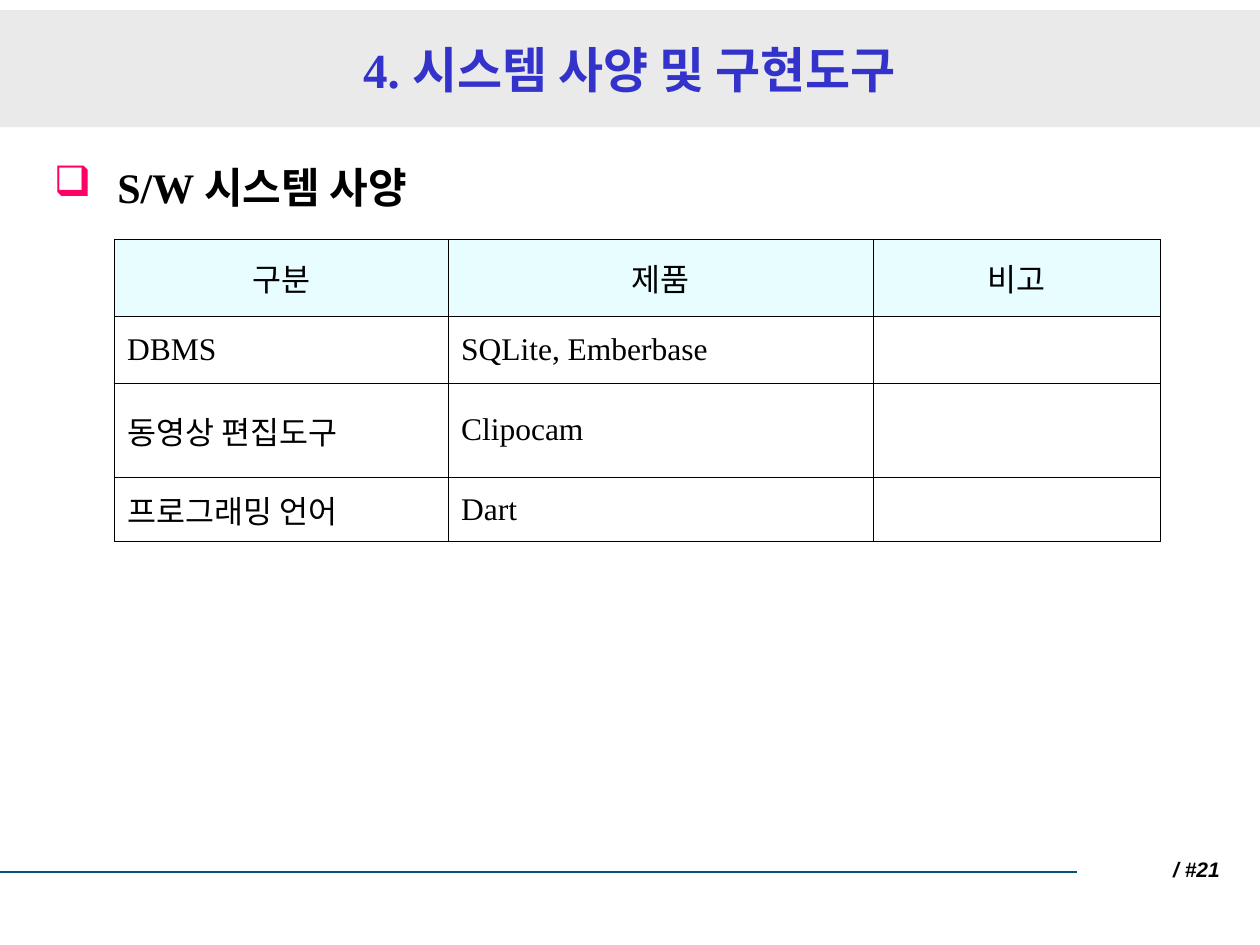
from lxml import etree
from pptx import Presentation
from pptx.dml.color import RGBColor
from pptx.enum.shapes import MSO_CONNECTOR, MSO_SHAPE
from pptx.enum.text import MSO_ANCHOR, PP_ALIGN
from pptx.oxml.ns import qn
from pptx.util import Inches, Pt

SERIF = "Times New Roman"
COLS = [2.65, 3.37, 2.28]
ROWS = [0.61, 0.53, 0.75, 0.51]
CELLS = [
    ["구분", "제품", "비고"],
    ["DBMS", "SQLite, Emberbase", ""],
    ["동영상 편집도구", "Clipocam", ""],
    ["프로그래밍 언어", "Dart", ""],
]


def rgb(value):
    return RGBColor.from_string(value)


def style(p, size, color="000000", name=SERIF, bold=False, italic=False):
    """Format a paragraph's runs, or its font when it holds none."""
    for item in p.runs or [p]:
        font = item.font
        font.size, font.name = Pt(size), name
        font.bold, font.italic = bold, italic
        font.color.rgb = rgb(color)


def add_title(slide, left, top, width, height):
    # Grey band behind the title
    band = slide.shapes.add_shape(MSO_SHAPE.RECTANGLE, Inches(left), Inches(top),
                                  Inches(width), Inches(height))
    band.shadow.inherit = False
    band.fill.solid()
    band.fill.fore_color.rgb = rgb("EAEAEA")
    band.line.fill.background()
    title = slide.shapes.title
    band._element.addnext(title._element)

    # Title text
    title.left, title.top = Inches(left + 0.33), Inches(top + 0.09)
    title.width, title.height = Inches(width - 0.67), Inches(0.75)
    tf = title.text_frame
    tf.text = "4. 시스템 사양 및 구현도구"
    tf.vertical_anchor = MSO_ANCHOR.MIDDLE
    p = tf.paragraphs[0]
    p.alignment = PP_ALIGN.CENTER
    style(p, 28, "3333CC", bold=True)


def add_heading(slide, left, top, width, height):
    sp = slide.shapes.add_textbox(Inches(left), Inches(top), Inches(width), Inches(height))
    tf = sp.text_frame
    tf.word_wrap = True
    tf.text = " S/W 시스템 사양"
    p = tf.paragraphs[0]
    p.space_before = Pt(6)
    style(p, 24, bold=True)

    # Pink box bullet with a hanging indent
    pPr = p._p.get_or_add_pPr()
    pPr.set("marL", str(Inches(0.42)))
    pPr.set("indent", str(-Inches(0.42)))
    color = etree.SubElement(pPr, qn("a:buClr"))
    etree.SubElement(color, qn("a:srgbClr"), val="FF0066")
    etree.SubElement(pPr, qn("a:buChar"), char="❑")


def set_borders(cell, color, width):
    tcPr = cell._tc.get_or_add_tcPr()
    for i, side in enumerate(("lnL", "lnR", "lnT", "lnB")):
        ln = etree.Element(qn(f"a:{side}"), w=str(Pt(width)))
        fill = etree.SubElement(ln, qn("a:solidFill"))
        etree.SubElement(fill, qn("a:srgbClr"), val=color)
        tcPr.insert(i, ln)


def add_spec_table(slide, left, top):
    table = slide.shapes.add_table(len(ROWS), len(COLS), Inches(left), Inches(top),
                                   Inches(sum(COLS)), Inches(sum(ROWS))).table
    table.first_row = table.horz_banding = False
    for col, width in zip(table.columns, COLS):
        col.width = Inches(width)
    for r, (row, height) in enumerate(zip(table.rows, ROWS)):
        row.height = Inches(height)
        for cell, text in zip(row.cells, CELLS[r]):
            cell.text_frame.text = text
            cell.vertical_anchor = MSO_ANCHOR.MIDDLE
            p = cell.text_frame.paragraphs[0]
            style(p, 18)
            if r == 0:
                p.alignment = PP_ALIGN.CENTER
                cell.fill.solid()
                cell.fill.fore_color.rgb = rgb("E7FDFF")
            else:
                cell.fill.background()
            set_borders(cell, "000000", 0.45)


def add_footer(slide, left, top, width, height):
    # Rule
    y = Inches(top + 0.23)
    rule = slide.shapes.add_connector(MSO_CONNECTOR.STRAIGHT, Inches(left), y,
                                      Inches(left + 8.55), y)
    rule.line.color.rgb = rgb("00537C")
    rule.line.width = Pt(1.5)
    etree.SubElement(rule._element.spPr, qn("a:effectLst"))

    # Page count
    sp = slide.shapes.add_textbox(Inches(left + 8.53), Inches(top),
                                  Inches(width - 8.53), Inches(height))
    tf = sp.text_frame
    tf.word_wrap = False
    tf.vertical_anchor = MSO_ANCHOR.MIDDLE
    tf.text = "/ #21"
    p = tf.paragraphs[0]
    p.alignment = PP_ALIGN.RIGHT
    style(p, 12, name="Arial", bold=True, italic=True)


def main():
    prs = Presentation()
    prs.slide_width, prs.slide_height = Inches(10), Inches(7.5)
    slide = prs.slides.add_slide(prs.slide_layouts[5])
    add_title(slide, 0, 0.08, 10, 0.93)
    add_heading(slide, 0.33, 1.23, 9.33, 0.6)
    add_spec_table(slide, 0.91, 1.9)
    add_footer(slide, 0, 6.69, 9.78, 0.42)
    prs.save("out.pptx")


if __name__ == "__main__":
    main()
